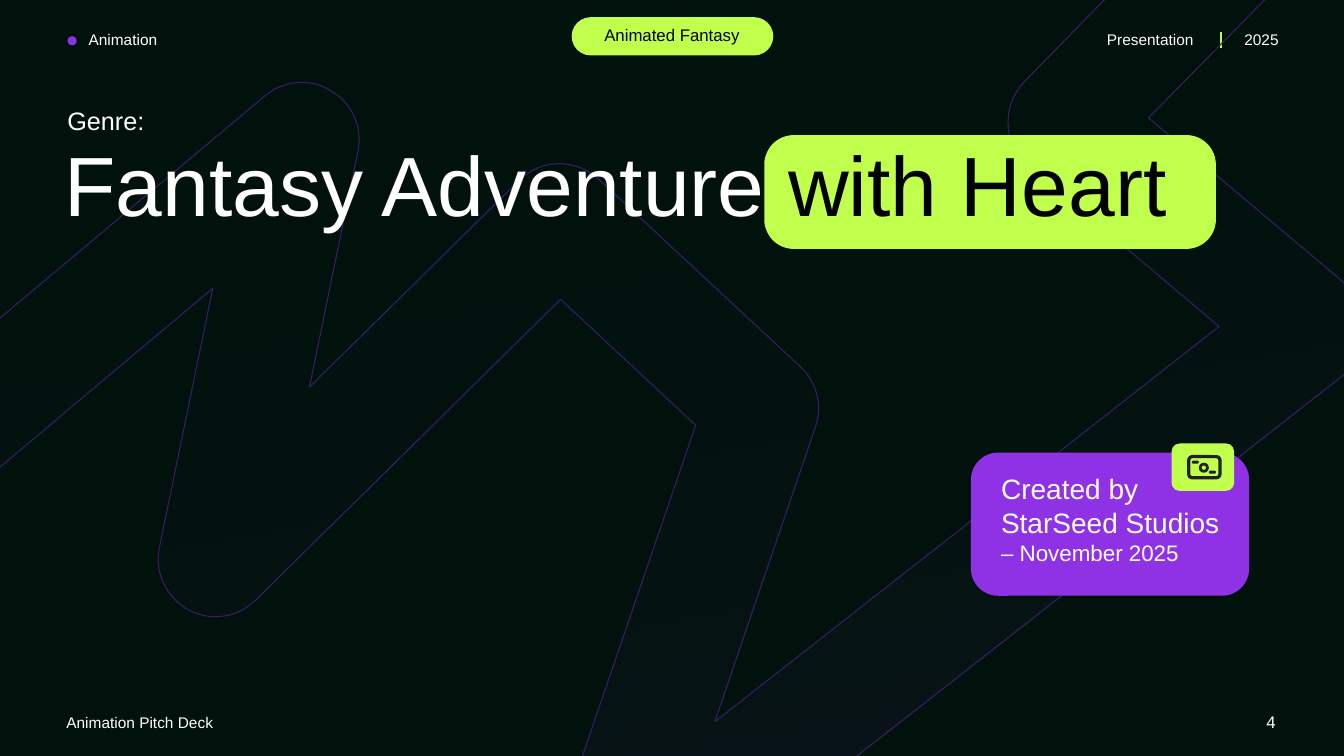
from dataclasses import dataclass

from lxml import etree
from pptx import Presentation, util as u
from pptx.dml.color import RGBColor
from pptx.enum import shapes, text
from pptx.oxml.ns import qn


@dataclass(frozen=True)
class Theme:
    font: str = "Arial"
    night: str = "01120C"
    white: str = "FFFFFF"
    black: str = "000000"
    ink: str = "222222"
    lime: str = "C1FF4D"
    violet: str = "8F32E6"
    outline: str = "3A1C66"
    label: int = 11
    tag: int = 12
    date: int = 16
    kicker: int = 18
    credit: int = 20
    title: int = 60


SHAPE = shapes.MSO_SHAPE
LEFT, CENTER, RIGHT = (text.PP_ALIGN.LEFT, text.PP_ALIGN.CENTER, text.PP_ALIGN.RIGHT)

# Two values are a straight line to a point; six values are a Bézier curve.
ZIGZAG = [
    (11.1, -0.15), (12.69, -0.15), (11.39, 1.17), (13.36, 2.83),
    (13.49, 2.94, 13.56, 3.11, 13.56, 3.28),
    (13.55, 3.45, 13.47, 3.61, 13.34, 3.71), (6.29, 9.23),
    (6.18, 9.31, 6.06, 9.35, 5.94, 9.35),
    (5.82, 9.35, 5.71, 9.31, 5.61, 9.24),
    (5.41, 9.1, 5.32, 8.84, 5.4, 8.6), (6.9, 4.22), (5.56, 2.97), (2.54, 5.95),
    (2.36, 6.13, 2.09, 6.17, 1.87, 6.05),
    (1.65, 5.93, 1.53, 5.68, 1.58, 5.44), (2.11, 2.86), (-0.22, 4.82),
    (-0.22, 3.34), (2.63, 0.95),
    (2.81, 0.8, 3.08, 0.77, 3.28, 0.9),
    (3.49, 1.02, 3.6, 1.26, 3.55, 1.5), (3.07, 3.84), (5.15, 1.79),
    (5.37, 1.57, 5.71, 1.57, 5.94, 1.78), (7.94, 3.64),
    (8.1, 3.79, 8.16, 4.02, 8.09, 4.23), (7.09, 7.16), (12.09, 3.24),
    (10.2, 1.64),
    (10.08, 1.54, 10, 1.39, 10, 1.24),
    (9.99, 1.08, 10.05, 0.93, 10.16, 0.81),
]


def flatten(path_parts, steps=16):
    """Turn lines and Bézier curves into a list of points."""
    points = []
    for part in path_parts:
        if len(part) == 2:
            points.append(part)
            continue
        corners = [points[-1], part[:2], part[2:4], part[4:]]
        for step in range(1, steps + 1):
            t = step / steps
            weights = ((1 - t) ** 3, 3 * t * (1 - t) ** 2, 3 * t * t * (1 - t), t ** 3)
            points.append(tuple(
                sum(w * corner[axis] for w, corner in zip(weights, corners))
                for axis in (0, 1)))
    return points


class Page:
    def __init__(self, deck, theme):
        self.theme = theme
        self.slide = deck.slides.add_slide(deck.slide_layouts[6])
        self.slide.background.fill.solid()
        self.slide.background.fill.fore_color.rgb = RGBColor.from_string(theme.night)

    def shape(self, kind, at, fill=None, line=None, width=1, adjust=None):
        item = self.slide.shapes.add_shape(kind, *map(u.Inches, at))
        item.shadow.inherit = False
        if adjust is not None:
            item.adjustments[0] = adjust
        if fill:
            item.fill.solid()
            item.fill.fore_color.rgb = RGBColor.from_string(fill)
        else:
            item.fill.background()
        if line:
            item.line.color.rgb = RGBColor.from_string(line)
            item.line.width = u.Pt(width)
        else:
            item.line.fill.background()

    def paragraph(self, at, spans, size, align=LEFT, color=None):
        """Add one paragraph; each span is (words, size or None, colour or None)."""
        box = self.slide.shapes.add_textbox(*map(u.Inches, at))
        frame = box.text_frame
        frame.word_wrap = True
        frame.auto_size = text.MSO_AUTO_SIZE.SHAPE_TO_FIT_TEXT
        para = frame.paragraphs[0]
        para.alignment = align
        para.font.name = self.theme.font
        para.font.size = u.Pt(size)
        para.font.color.rgb = RGBColor.from_string(color or self.theme.white)
        for words, own_size, own_color in spans:
            span = para.add_run()
            span.text = words
            if own_size:
                span.font.size = u.Pt(own_size)
            if own_color:
                span.font.color.rgb = RGBColor.from_string(own_color)

    def label(self, at, words, size, align=LEFT, color=None):
        self.paragraph(at, [(words, None, None)], size, align, color)

    def rule(self, start, end, color, width=1):
        line = self.slide.shapes.add_connector(
            shapes.MSO_CONNECTOR.STRAIGHT, *map(u.Inches, start + end))
        line.line.color.rgb = RGBColor.from_string(color)
        line.line.width = u.Pt(width)
        etree.SubElement(line._element.spPr, qn("a:effectLst"))

    def ribbon(self, outline):
        """Draw the outlined band that fades from clear to faint violet."""
        points = [(u.Inches(x), u.Inches(y)) for x, y in flatten(outline)]
        builder = self.slide.shapes.build_freeform(*points[0])
        builder.add_line_segments(points[1:], close=True)
        band = builder.convert_to_shape()
        band.shadow.inherit = False
        band.fill.gradient()
        band.fill.gradient_angle = 280
        ends = ((0, self.theme.night), (1, self.theme.violet))
        for stop, (position, color) in zip(band.fill.gradient_stops, ends):
            stop.position = position
            stop.color.rgb = RGBColor.from_string(color)
        for color, percent in zip(band._element.spPr.iter(qn("a:srgbClr")), (0, 9)):
            etree.SubElement(color, qn("a:alpha")).set("val", str(percent * 1000))
        band.line.color.rgb = RGBColor.from_string(self.theme.outline)
        band.line.width = u.Pt(0.75)

    def banknote(self):
        ink = self.theme.ink
        self.shape(SHAPE.ROUNDED_RECTANGLE, (11.62, 4.4, 0.62, 0.47), self.theme.lime)
        self.shape(SHAPE.ROUNDED_RECTANGLE, (11.79, 4.53, 0.31, 0.21),
                   line=ink, width=2.3, adjust=0.17)
        for left, top in ((11.82, 4.57), (11.99, 4.67)):
            self.shape(SHAPE.ROUNDED_RECTANGLE, (left, top, 0.07, 0.03), ink, adjust=0.5)
        self.shape(SHAPE.DONUT, (11.89, 4.59, 0.1, 0.1), ink, adjust=0.28)


def main():
    deck = Presentation()
    deck.slide_width, deck.slide_height = u.Inches(13.33), u.Inches(7.5)
    theme = Theme()
    page = Page(deck, theme)

    page.label((0.78, 0.25, 1.28, 0.29), "Animation", theme.label)
    page.shape(SHAPE.OVAL, (0.67, 0.36, 0.09, 0.09), theme.violet)
    page.label((10.88, 0.25, 1.16, 0.29), "Presentation", theme.label)
    page.label((12.16, 0.25, 0.62, 0.29), "2025", theme.label, RIGHT)
    page.rule((12.11, 0.32), (12.11, 0.48), theme.lime)
    page.label((12.07, 7.01, 0.68, 0.3), "4", theme.tag, RIGHT)
    page.label((0.56, 7.03, 2.65, 0.29), "Animation Pitch Deck", theme.label)
    page.shape(SHAPE.ROUNDED_RECTANGLE, (5.67, 0.17, 2, 0.38), theme.lime, adjust=0.5)
    page.label((5.86, 0.2, 1.61, 0.3), "Animated Fantasy", theme.tag, CENTER, theme.black)

    page.ribbon(ZIGZAG)

    page.shape(SHAPE.ROUNDED_RECTANGLE, (7.58, 1.34, 4.48, 1.13), theme.lime, adjust=0.26)
    page.paragraph((0.54, 1.27, 11.57, 1.11),
                   [("Fantasy Adventure ", None, None), ("with Heart", None, theme.black)],
                   theme.title)
    page.label((0.57, 1, 1.41, 0.4), "Genre:", theme.kicker)

    page.shape(SHAPE.ROUNDED_RECTANGLE, (9.63, 4.49, 2.76, 1.42), theme.violet, adjust=0.19)
    page.paragraph((9.83, 4.63, 2.45, 1.04),
                   [("Created by StarSeed Studios ", None, None),
                    ("– November 2025", theme.date, None)],
                   theme.credit)
    page.banknote()

    deck.save("out.pptx")


if __name__ == "__main__":
    main()
